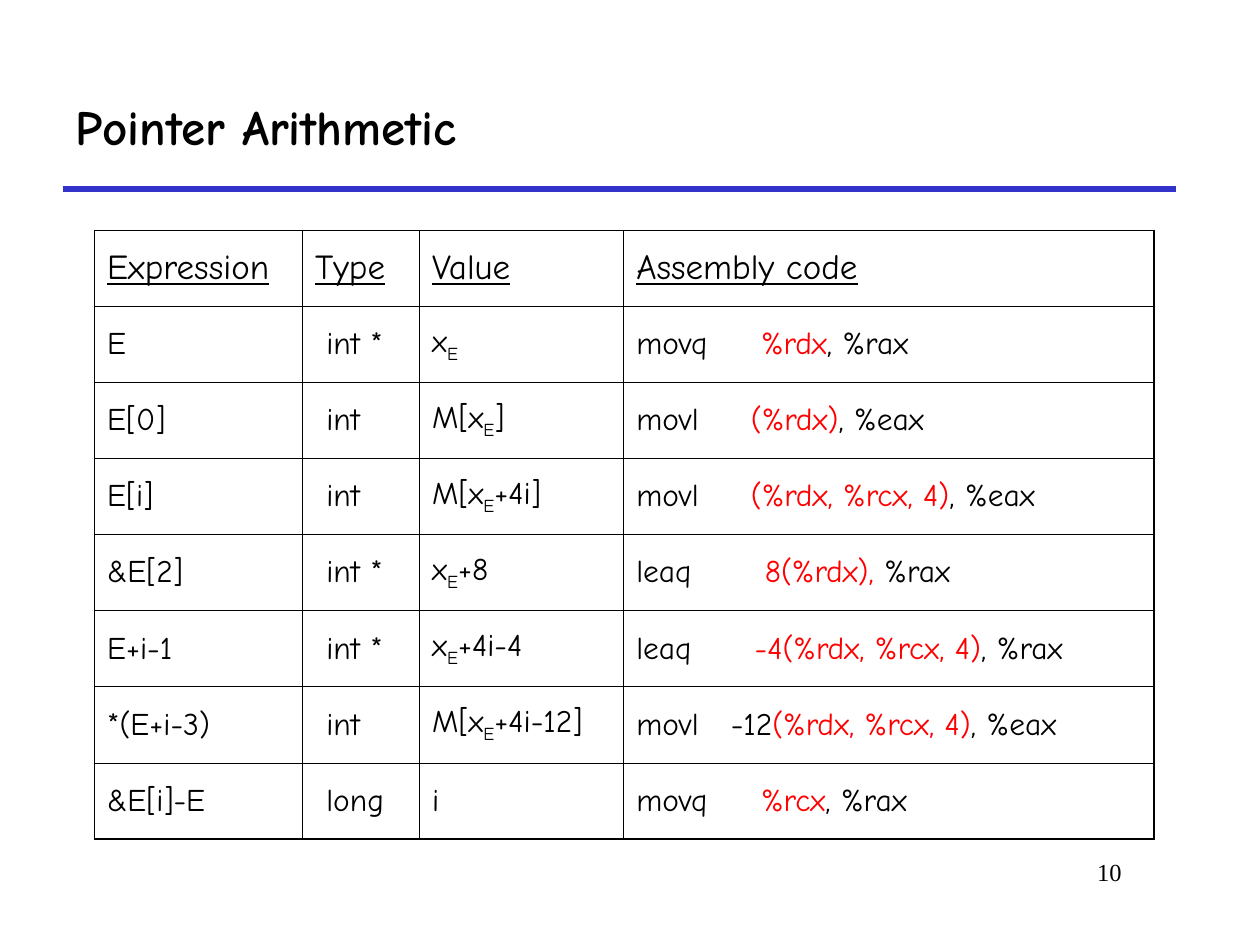
"""Build the Pointer Arithmetic slide with its table of expressions and assembly code."""
from dataclasses import dataclass

from lxml.etree import SubElement
from pptx import Presentation
from pptx.dml.color import RGBColor
from pptx.enum.shapes import MSO_CONNECTOR
from pptx.enum.text import MSO_ANCHOR, PP_ALIGN
from pptx.oxml.ns import qn
from pptx.util import Inches, Pt

BLACK = RGBColor(0x00, 0x00, 0x00)
RED = RGBColor(0xFF, 0x00, 0x00)
BLUE = RGBColor(0x33, 0x33, 0xCC)
BODY_FONT = "Comic Neue"
NUMBER_FONT = "Times New Roman"
THIN, THICK = 0.45, 1.08
COLUMN_WIDTHS = (1.65, 0.93, 1.62, 4.21)
HEADERS = ("Expression", "Type", "Value", "Assembly code")
TABLE_HEIGHT = 4.83
TYPE_INDENT = 0.19


@dataclass(frozen=True)
class Span:
    text: str
    color: RGBColor = BLACK
    subscript: bool = False


@dataclass(frozen=True)
class Example:
    expression: str
    type: str
    value: tuple[Span, ...]
    opcode: str
    source: str
    target: str
    tab: float
    offset: str = ""

    def cells(self) -> list[tuple[Span, ...]]:
        code = (Span(f"{self.opcode}\t{self.offset}"), Span(self.source, RED), Span(self.target))
        return [(Span(self.expression),), (Span(self.type),), self.value, code]


def address(before: str, after: str = "") -> tuple[Span, ...]:
    spans = (Span(before), Span("E", subscript=True))
    return spans + (Span(after),) if after else spans


EXAMPLES = (
    Example("E", "int *", address("x"), "movq", "%rdx", ", %rax", 0.99),
    Example("E[0]", "int", address("M[x", "]"), "movl", "(%rdx)", ", %eax", 0.91),
    Example("E[i]", "int", address("M[x", "+4i]"), "movl", "(%rdx, %rcx, 4)", ", %eax", 0.91),
    Example("&E[2]", "int *", address("x", "+8"), "leaq", "8(%rdx),", " %rax", 1.02),
    Example("E+i-1", "int *", address("x", "+4i-4"), "leaq", "-4(%rdx, %rcx, 4)", ", %rax", 0.94),
    Example("*(E+i-3)", "int", address("M[x", "+4i-12]"), "movl", "(%rdx, %rcx, 4)", ", %eax",
            0.75, "-12"),
    Example("&E[i]-E", "long", (Span("i"),), "movq", "%rcx", ", %rax", 0.99),
)


def add_spans(p, spans: tuple[Span, ...], size: float, font: str = BODY_FONT,
              bold: bool = False, underline: bool = False) -> None:
    for span in spans:
        r = p.add_run()
        r.text = span.text
        r.font.name, r.font.size = font, Pt(size)
        r.font.bold, r.font.underline = bold, underline
        r.font.color.rgb = span.color
        if span.subscript:
            r._r.get_or_add_rPr().set("baseline", "-25000")


def add_text(s, box: tuple[float, ...], text: str, size: float, font: str,
             bold: bool, align: PP_ALIGN, anchor: MSO_ANCHOR) -> None:
    tf = s.shapes.add_textbox(*map(Inches, box)).text_frame
    tf.word_wrap = True
    tf.vertical_anchor = anchor
    tf.paragraphs[0].alignment = align
    add_spans(tf.paragraphs[0], (Span(text),), size, font, bold)


def add_rule(s) -> None:
    sp = s.shapes.add_connector(MSO_CONNECTOR.STRAIGHT, Inches(0.5), Inches(1.5),
                                Inches(9.33), Inches(1.5))
    sp.line.color.rgb = BLUE
    sp.line.width = Pt(3)
    SubElement(sp._element.spPr, qn("a:effectLst"))


def set_borders(cell, outer: dict[str, bool]) -> None:
    tc_pr = cell._tc.get_or_add_tcPr()
    for side, is_outer in outer.items():
        width = Pt(THICK if is_outer else THIN)
        ln = SubElement(tc_pr, qn(f"a:ln{side}"), w=str(width))
        fill = SubElement(ln, qn("a:solidFill"))
        SubElement(fill, qn("a:srgbClr"), val=str(BLACK))


def set_tab(p, position: float) -> None:
    tabs = SubElement(p._p.get_or_add_pPr(), qn("a:tabLst"))
    SubElement(tabs, qn("a:tab"), pos=str(Inches(position)), algn="l")


def add_examples(s) -> None:
    rows = [[(Span(header),) for header in HEADERS]] + [e.cells() for e in EXAMPLES]
    last_row, last_col = len(rows) - 1, len(HEADERS) - 1
    table = s.shapes.add_table(len(rows), len(HEADERS), Inches(0.75), Inches(1.83),
                               Inches(sum(COLUMN_WIDTHS)), Inches(TABLE_HEIGHT)).table
    table.first_row = table.horz_banding = False
    for column, width in zip(table.columns, COLUMN_WIDTHS):
        column.width = Inches(width)
    for i, row in enumerate(rows):
        table.rows[i].height = Inches(TABLE_HEIGHT / len(rows))
        size = 18 if i else 20
        for j, spans in enumerate(row):
            cell = table.cell(i, j)
            set_borders(cell, {"L": j == 0, "R": j == last_col, "T": i == 0, "B": i == last_row})
            cell.fill.background()
            cell.vertical_anchor = MSO_ANCHOR.MIDDLE
            if i and j == 1:
                cell.margin_left = Inches(TYPE_INDENT)
            p = cell.text_frame.paragraphs[0]
            p.space_before = Pt(size / 4)
            if i and j == last_col:
                set_tab(p, EXAMPLES[i - 1].tab)
            add_spans(p, spans, size, underline=i == 0)


def main() -> None:
    prs = Presentation()
    prs.slide_width, prs.slide_height = Inches(10), Inches(7.5)
    s = prs.slides.add_slide(prs.slide_layouts[6])
    add_rule(s)
    add_text(s, (7.58, 6.75, 1.42, 0.5), "10", 14, NUMBER_FONT, False,
             PP_ALIGN.RIGHT, MSO_ANCHOR.TOP)
    add_text(s, (0.5, 0.5, 8.83, 1), "Pointer Arithmetic", 28, BODY_FONT, True,
             PP_ALIGN.LEFT, MSO_ANCHOR.MIDDLE)
    add_examples(s)
    prs.save("out.pptx")


if __name__ == "__main__":
    main()
